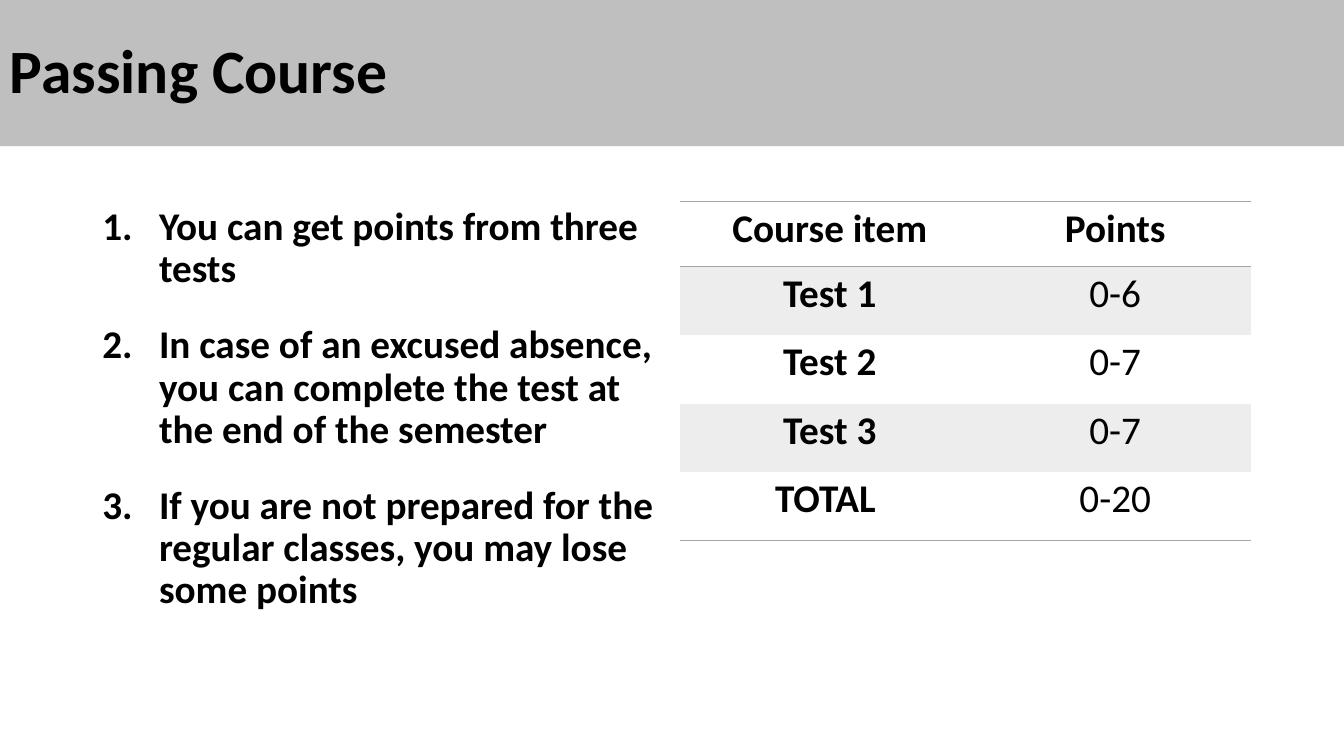
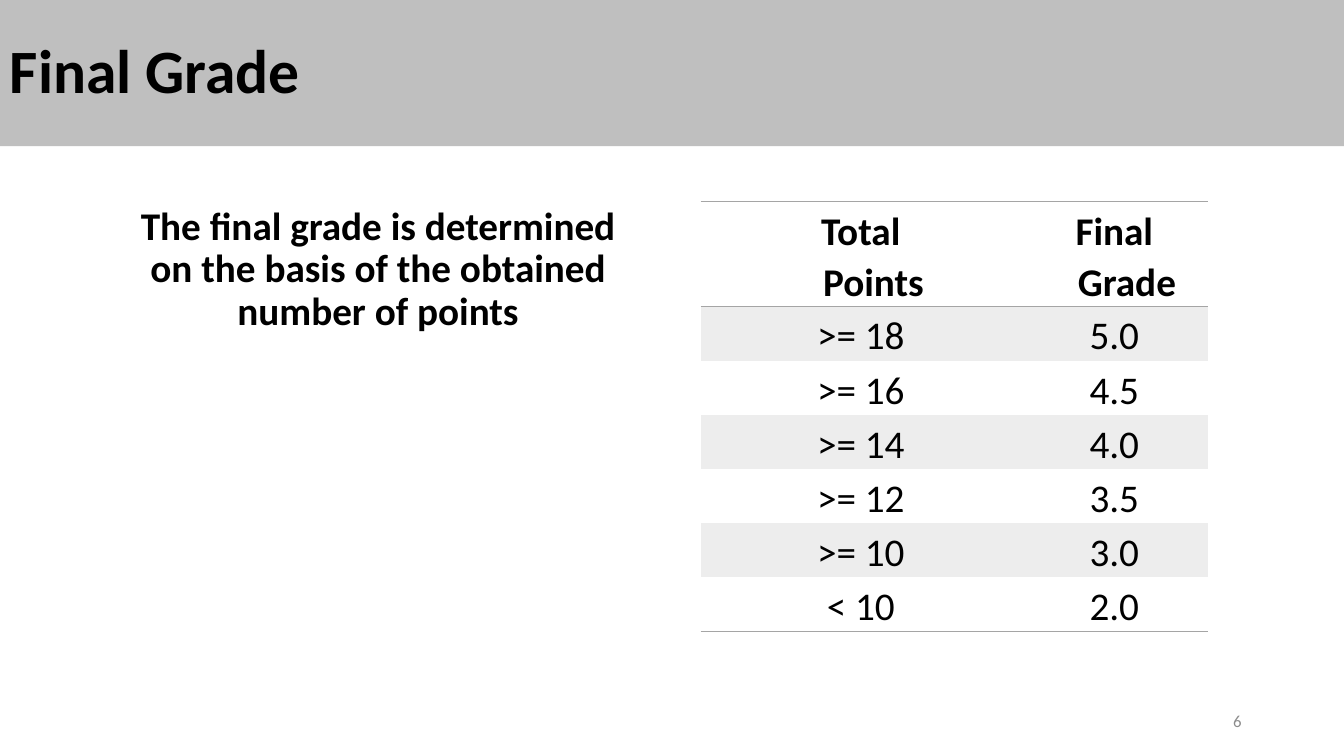
from dataclasses import dataclass, field
from typing import Any

from lxml import etree
from pptx import Presentation
from pptx.dml.color import RGBColor
from pptx.enum.shapes import MSO_SHAPE
from pptx.enum.text import MSO_ANCHOR, PP_ALIGN
from pptx.oxml.ns import qn
from pptx.util import Pt

RECTANGLE = MSO_SHAPE.RECTANGLE
MIDDLE, TOP = MSO_ANCHOR.MIDDLE, MSO_ANCHOR.TOP
LEFT, CENTER, RIGHT = PP_ALIGN.LEFT, PP_ALIGN.CENTER, PP_ALIGN.RIGHT

COLORS = {
    "band": "BFBFBF",
    "text": "000000",
    "number": "8C8C8C",
    "rule": "A5A5A5",
    "stripe": "EDEDED",
    "paper": "FFFFFF",
}
FONT = "Calibri"
SLIDE_WIDTH, SLIDE_HEIGHT = 960, 540
BAND_HEIGHT = 104.4
CONTENT_TOP = 144
NO_STYLE_NO_GRID = "{2D5ABB26-0587-4C30-8999-92F81FD0307C}"


@dataclass(frozen=True)
class TextStyle:
    size: float = 28
    bold: bool = True
    color: str = "text"
    paragraph: dict[str, Any] = field(default_factory=dict)
    margin: float = 0
    indent: float = 0
    numbered: bool = False


@dataclass(frozen=True)
class TableSpec:
    left: float
    columns: list[float]
    header_height: float
    row_height: float
    rows: list[tuple[str, str]]
    style: TextStyle
    insets: dict[str, float]
    bold_labels: bool = False


@dataclass(frozen=True)
class SlideSpec:
    title: str
    statements: list[str]
    statement_style: TextStyle
    table: TableSpec
    number: str = ""


STATEMENT_SPACING = {"line_spacing": 0.9, "space_before": Pt(12), "space_after": Pt(12)}
TITLE = TextStyle(size=44, paragraph={"alignment": LEFT, "line_spacing": 0.9})
NUMBER = TextStyle(12, False, "number", {"alignment": RIGHT})
NUMBERED = TextStyle(paragraph={"alignment": LEFT, **STATEMENT_SPACING},
                     margin=40.5, indent=-40.5, numbered=True)
CENTERED = TextStyle(paragraph={"alignment": CENTER, **STATEMENT_SPACING})
POINTS_CELL = TextStyle(
    paragraph={"alignment": CENTER, "line_spacing": 1.07, "space_after": Pt(8)})
GRADE_CELL = TextStyle(paragraph={"alignment": CENTER, "line_spacing": 1.07},
                       margin=64, indent=-18)

SLIDES = [
    SlideSpec(
        "Passing Course",
        ["You can get points from three tests",
         "In case of an excused absence, you can complete the test at the end of the semester",
         "If you are not prepared for the regular classes, you may lose some points"],
        NUMBERED,
        TableSpec(
            486, [213.4, 194.4], 46.5, 48.9,
            [("Course item", "Points"), ("Test 1", "0-6"), ("Test 2", "0-7"),
             ("Test 3", "0-7"), ("TOTAL ", "0-20")],
            POINTS_CELL,
            {"margin_left": 16.5, "margin_right": 16.5, "margin_top": 0, "margin_bottom": 0},
            bold_labels=True),
    ),
    SlideSpec(
        "Final Grade",
        ["The final grade is determined\non the basis of the obtained number of points"],
        CENTERED,
        TableSpec(
            500.4, [182.9, 179.3], 75, 38.7,
            [("Total Points", "Final Grade"), (">= 18", "5.0"), (">= 16", "4.5"),
             (">= 14", "4.0"), (">= 12", "3.5"), (">= 10", "3.0"), ("< 10", "2.0")],
            GRADE_CELL,
            {"margin_left": 15, "margin_right": 15, "margin_top": 2, "margin_bottom": 0}),
        number="6",
    ),
]


def rgb(name: str) -> RGBColor:
    return RGBColor.from_string(COLORS[name])


def write_paragraph(paragraph: Any, text: str, style: TextStyle, bold: bool) -> None:
    paragraph.text = text
    for name, value in style.paragraph.items():
        setattr(paragraph, name, value)
    properties = paragraph._p.get_or_add_pPr()
    properties.set("marL", str(Pt(style.margin)))
    properties.set("indent", str(Pt(style.indent)))
    if style.numbered:
        etree.SubElement(properties, qn("a:buAutoNum"), type="arabicPeriod")
    for run in paragraph.runs:
        for name, value in {"name": FONT, "size": Pt(style.size), "bold": bold}.items():
            setattr(run.font, name, value)
        run.font.color.rgb = rgb(style.color)


def write_frame(frame: Any, texts: list[str], style: TextStyle, anchor: MSO_ANCHOR) -> None:
    frame.word_wrap = True
    frame.vertical_anchor = anchor
    for index, text in enumerate(texts):
        paragraph = frame.add_paragraph() if index else frame.paragraphs[0]
        write_paragraph(paragraph, text, style, style.bold)


def add_text(slide: Any, box: tuple[float, float, float, float], texts: list[str],
             style: TextStyle, anchor: MSO_ANCHOR) -> None:
    textbox = slide.shapes.add_textbox(*map(Pt, box))
    write_frame(textbox.text_frame, texts, style, anchor)


def add_title_band(slide: Any, title: str) -> None:
    band = slide.shapes.add_shape(RECTANGLE, 0, 0, Pt(SLIDE_WIDTH), Pt(BAND_HEIGHT))
    band.shadow.inherit = False
    band.fill.solid()
    band.fill.fore_color.rgb = rgb("band")
    band.line.fill.background()
    write_frame(band.text_frame, [title], TITLE, MIDDLE)


def add_rule(cell: Any, side: str) -> None:
    """Draw a cell border; this must come before the cell's fill is set."""
    line = etree.SubElement(cell._tc.get_or_add_tcPr(), qn(f"a:{side}"), w=str(Pt(1)))
    fill = etree.SubElement(line, qn("a:solidFill"))
    etree.SubElement(fill, qn("a:srgbClr"), val=COLORS["rule"])


def add_ruled_table(slide: Any, spec: TableSpec) -> None:
    last = len(spec.rows) - 1
    heights = [spec.header_height] + [spec.row_height] * last
    table = slide.shapes.add_table(
        len(spec.rows), len(spec.columns), Pt(spec.left), Pt(CONTENT_TOP),
        Pt(sum(spec.columns)), Pt(sum(heights))).table
    table.first_row = table.horz_banding = False
    table._tbl.tblPr.find(qn("a:tableStyleId")).text = NO_STYLE_NO_GRID
    for column, width in zip(table.columns, spec.columns):
        column.width = Pt(width)
    for row_index, (values, height) in enumerate(zip(spec.rows, heights)):
        table.rows[row_index].height = Pt(height)
        for column_index, text in enumerate(values):
            cell = table.cell(row_index, column_index)
            for name, value in spec.insets.items():
                setattr(cell, name, Pt(value))
            if row_index == 0:
                add_rule(cell, "lnT")
            if row_index in (0, last):
                add_rule(cell, "lnB")
            cell.fill.solid()
            cell.fill.fore_color.rgb = rgb("stripe" if row_index % 2 else "paper")
            bold = row_index == 0 or (spec.bold_labels and column_index == 0)
            write_paragraph(cell.text_frame.paragraphs[0], text, spec.style, bold)


def build_slide(presentation: Any, spec: SlideSpec) -> None:
    slide = presentation.slides.add_slide(presentation.slide_layouts[6])
    add_title_band(slide, spec.title)
    add_text(slide, (66, CONTENT_TOP, 408, 342.7), spec.statements, spec.statement_style, TOP)
    if spec.number:
        add_text(slide, (678, 500.5, 216, 28.8), [spec.number], NUMBER, MIDDLE)
    add_ruled_table(slide, spec.table)


def main() -> None:
    presentation = Presentation()
    presentation.slide_width = Pt(SLIDE_WIDTH)
    presentation.slide_height = Pt(SLIDE_HEIGHT)
    for spec in SLIDES:
        build_slide(presentation, spec)
    presentation.save("out.pptx")


if __name__ == "__main__":
    main()
